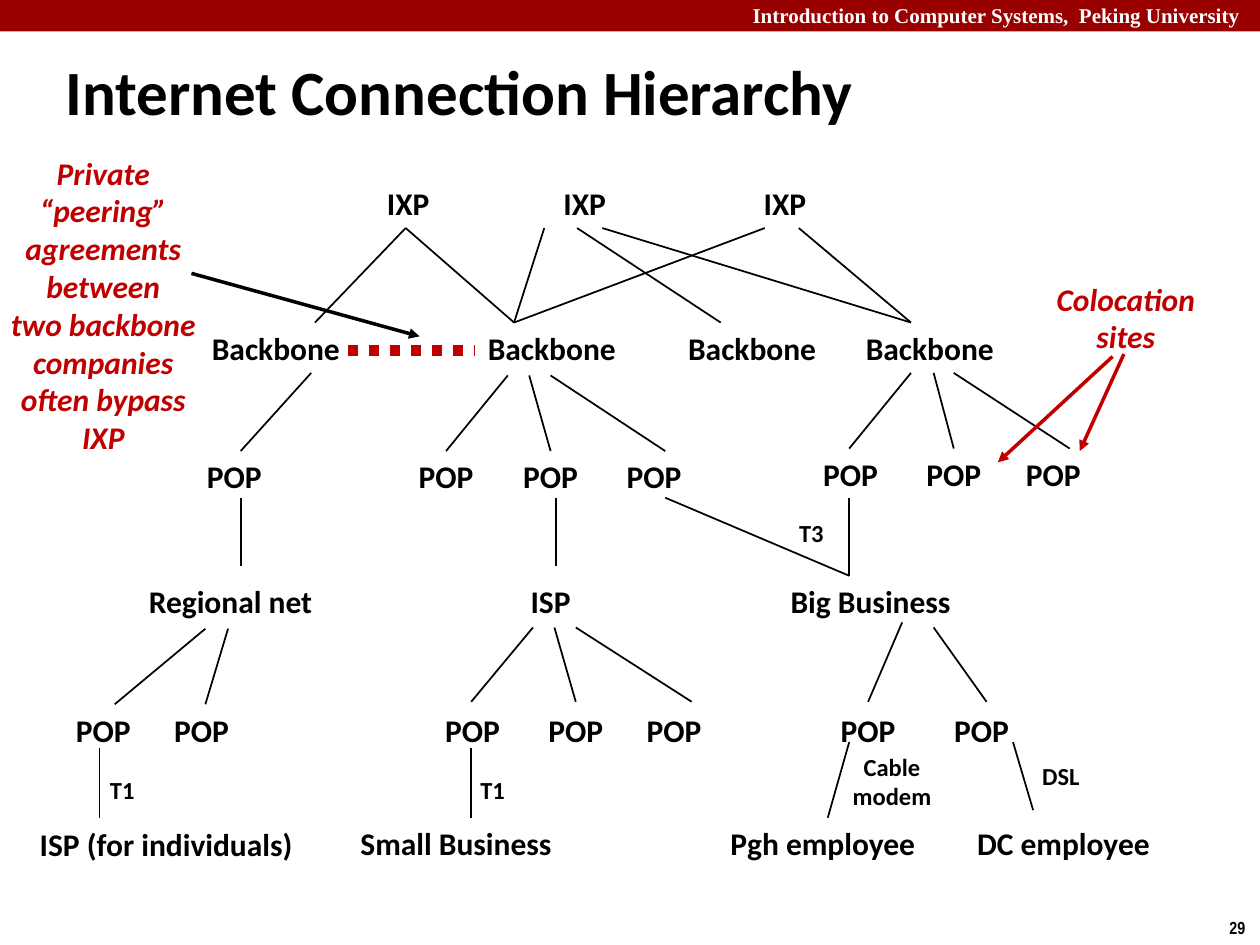
import pptx
import pptx.util
import pptx.dml.color
import pptx.enum.dml
import pptx.enum.shapes
import pptx.enum.text
import pptx.oxml
import pptx.oxml.ns

Inches = pptx.util.Inches
ALIGN = pptx.enum.text.PP_ALIGN
ANCHOR = pptx.enum.text.MSO_ANCHOR
DASH = pptx.enum.dml.MSO_LINE

WIDTH, HEIGHT = 10, 7.5
BLACK, RED, BAND, WHITE = "000000", "C00000", "990000", "FFFFFF"

# Box width of each label
LABEL_WIDTHS = {
    "IXP": 0.54, "Backbone": 1.23, "POP": 0.64, "Regional net": 1.53,
    "ISP": 0.52, "Big Business": 1.48, "ISP (for individuals)": 2.23,
    "Small Business": 1.73, "Pgh employee": 1.68, "DC employee": 1.58,
    "T1": 0.4, "T3": 0.4, "DSL": 0.5, "Cable\nmodem": 0.83,
}

# Rows of the hierarchy: middle height, then (label, centre) pairs
NODE_ROWS = [
    (1.61, [("IXP", 3.24), ("IXP", 4.64), ("IXP", 6.23)]),
    (2.76, [("Backbone", 2.19), ("Backbone", 4.38), ("Backbone", 5.97),
            ("Backbone", 7.38)]),
    (3.78, [("POP", 1.86), ("POP", 3.54), ("POP", 4.37), ("POP", 5.19)]),
    (3.76, [("POP", 6.75), ("POP", 7.57), ("POP", 8.36)]),
    (4.77, [("Regional net", 1.83), ("ISP", 4.37), ("Big Business", 6.91)]),
    (5.79, [("POP", 0.82), ("POP", 1.6), ("POP", 3.75), ("POP", 4.57),
            ("POP", 5.35), ("POP", 6.89), ("POP", 7.79)]),
    (6.69, [("Small Business", 3.62), ("Pgh employee", 6.53),
            ("DC employee", 8.44)]),
    (6.7, [("ISP (for individuals)", 1.32)]),
]

# Names of the access links
LINK_ROWS = [
    (4.23, [("T3", 6.44)]),
    (6.27, [("T1", 0.97), ("T1", 3.91)]),
    (6.2, [("Cable\nmodem", 7.08)]),
    (6.16, [("DSL", 8.42)]),
]

# Branches between rows: top, bottom, then (upper x, lower x) pairs
BRANCHES = [
    (1.81, 2.56, [(3.22, 2.5), (3.22, 4.08), (4.32, 4.08), (6.07, 4.08),
                  (4.58, 5.72), (4.78, 7.23), (6.34, 7.23)]),
    (2.96, 3.58, [(2.47, 1.91)]),
    (2.98, 3.58, [(4.03, 3.54), (4.2, 4.37), (4.37, 5.28)]),
    (2.96, 3.56, [(7.23, 6.74), (7.41, 7.57), (7.57, 8.49)]),
    (3.95, 4.49, [(1.91, 1.91), (4.41, 4.41)]),
    (3.95, 4.57, [(5.28, 6.74), (6.74, 6.74)]),
    (4.99, 5.59, [(1.63, 0.91), (1.81, 1.63)]),
    (4.98, 5.57, [(4.23, 3.74), (4.4, 4.57), (4.57, 5.49), (7.41, 7.83)]),
    (4.94, 5.57, [(7.16, 6.89)]),
    (5.94, 6.49, [(0.79, 0.79), (3.74, 3.74)]),
    (5.89, 6.49, [(6.74, 6.57)]),
    (5.89, 6.43, [(8.04, 8.2)]),
]

# Red remarks and the arrows that lead from them
REMARKS = [
    ("Private\n“peering”\nagreements\nbetween\ntwo backbone\ncompanies\n"
     "often bypass\nIXP", (-0.05, 1.17, 1.74, 2.52)),
    ("Colocation\nsites", (8.28, 2.17, 1.31, 0.71)),
]
ARROWS = [
    ((1.52, 2.17), (3.33, 2.67), BLACK),
    ((8.92, 2.81), (8.57, 3.58), RED),
    ((8.83, 2.83), (7.92, 3.67), RED),
]
PEERING = ((2.76, 2.78), (3.77, 2.78))


def colour(code):
    return pptx.dml.color.RGBColor.from_string(code)


def add_text(page, text, place, size=18, font="Calibri", code=BLACK,
             align=ALIGN.CENTER, anchor=ANCHOR.TOP, italic=False, wrap=False):
    box = page.shapes.add_textbox(*map(Inches, place))
    frame = box.text_frame
    frame.text = text
    frame.word_wrap = wrap
    frame.vertical_anchor = anchor
    for para in frame.paragraphs:
        para.alignment = align
        for span in para.runs:
            span.font.size = pptx.util.Pt(size)
            span.font.name = font
            span.font.bold = True
            span.font.italic = italic
            span.font.color.rgb = colour(code)


def add_labels(page, rows, size, line_height):
    for middle, labels in rows:
        for text, centre in labels:
            width = LABEL_WIDTHS[text]
            height = 0.1 + line_height * len(text.split("\n"))
            place = (centre - width / 2, middle - height / 2, width, height)
            add_text(page, text, place, size, anchor=ANCHOR.MIDDLE)


def add_line(page, start, end, code=BLACK, weight=1, dash=None, arrow=False):
    line = page.shapes.add_connector(
        pptx.enum.shapes.MSO_CONNECTOR.STRAIGHT,
        *map(Inches, start + end))
    line.line.color.rgb = colour(code)
    line.line.width = pptx.util.Pt(weight)
    if dash:
        line.line.dash_style = dash
    if arrow:
        tip = pptx.oxml.parse_xml(
            '<a:tailEnd %s type="triangle"/>' % pptx.oxml.ns.nsdecls("a"))
        line.line._get_or_add_ln().append(tip)
    line._element.spPr.append(pptx.oxml.parse_xml(
        "<a:effectLst %s/>" % pptx.oxml.ns.nsdecls("a")))


def main():
    deck = pptx.Presentation()
    deck.slide_width, deck.slide_height = Inches(WIDTH), Inches(HEIGHT)
    page = deck.slides.add_slide(deck.slide_layouts[6])

    # Header band, title and page number
    band = page.shapes.add_shape(pptx.enum.shapes.MSO_SHAPE.RECTANGLE,
                                 0, 0, Inches(WIDTH), Inches(0.25))
    band.shadow.inherit = False
    band.fill.solid()
    band.fill.fore_color.rgb = colour(BAND)
    band.line.fill.background()
    add_text(page, "Introduction to Computer Systems,  Peking University",
             (4.7, -0.03, 5.24, 0.3), 12, "Times New Roman", WHITE,
             ALIGN.RIGHT, wrap=True)
    add_text(page, "Internet Connection Hierarchy", (0.42, 0.37, 8.25, 0.63),
             36, align=ALIGN.LEFT, wrap=True)
    add_text(page, "29", (9.66, 7.23, 0.34, 0.27), 10, "Arial Narrow",
             align=ALIGN.LEFT)

    # Hierarchy
    for top, bottom, pairs in BRANCHES:
        for upper, lower in pairs:
            add_line(page, (upper, top), (lower, bottom))
    add_labels(page, NODE_ROWS, 18, 0.3)
    add_labels(page, LINK_ROWS, 14, 0.24)

    # Remarks, peering link and arrows
    for text, place in REMARKS:
        add_text(page, text, place, code=RED, italic=True)
    add_line(page, *PEERING, RED, 6, DASH.ROUND_DOT)
    for start, end, code in ARROWS:
        add_line(page, start, end, code, 2, arrow=True)

    deck.save("out.pptx")


if __name__ == "__main__":
    main()
